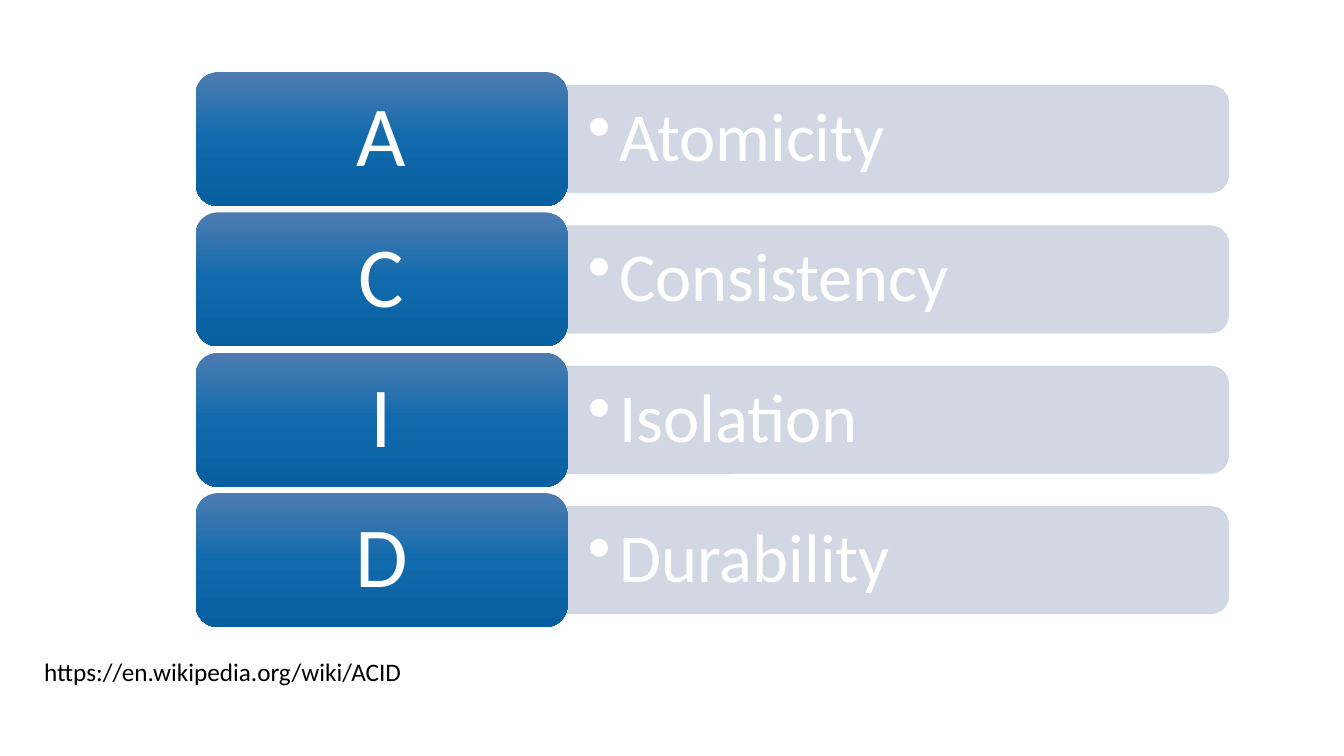
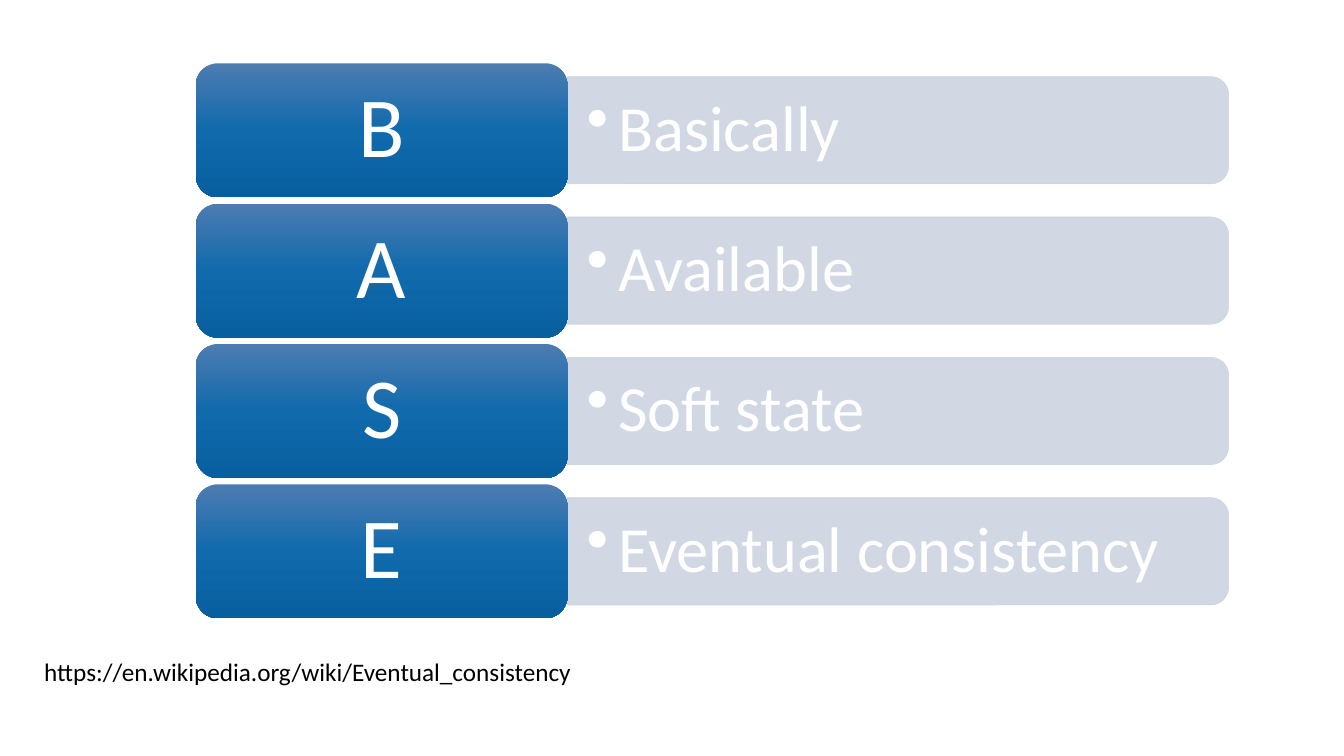
import copy

import pptx
import pptx.dml.color
import pptx.enum.shapes
import pptx.enum.text
import pptx.oxml
import pptx.oxml.ns
import pptx.util

Pt = pptx.util.Pt
SHAPES = pptx.enum.shapes.MSO_SHAPE
ALIGN = pptx.enum.text.PP_ALIGN
ANCHOR = pptx.enum.text.MSO_ANCHOR
qn = pptx.oxml.ns.qn

# Content: first tab's top, term size, side inset, rows, source link
SLIDES = [
    {
        "top": 51.5, "term_size": 49, "inset": 14.4,
        "rows": [("A", "Atomicity"), ("C", "Consistency"),
                 ("I", "Isolation"), ("D", "Durability")],
        "link": "https://en.wikipedia.org/wiki/ACID", "link_width": 273,
    },
    {
        "top": 45.2, "term_size": 46, "inset": 13.7,
        "rows": [("B", "Basically"), ("A", "Available"),
                 ("S", "Soft state"), ("E", "Eventual consistency")],
        "link": "https://en.wikipedia.org/wiki/Eventual_consistency", "link_width": 395,
    },
]

# Shared style, lengths in points
COLORS = {"bar": "CCD4E1", "light": "FFFFFF", "link": "000000"}
TAB_GRADIENT = [(0, "4D7CB1"), (0.5, "106AAC"), (1, "085F9F")]
FONT = "Calibri"
BAR_OPACITY = 90
TAB_LEFT, TAB_WIDTH, TAB_HEIGHT = 139.8, 265.6, 95.75
ROW_PITCH = 100.25
BAR_LEFT, BAR_WIDTH, BAR_HEIGHT = TAB_LEFT + TAB_WIDTH, 472.2, 76.6
TERM_WIDTH, TERM_HEIGHT = 468.5, 69
BULLET_INDENT = 22.5
LETTER_SIZE, LINK_SIZE = 61, 18
LINK_LEFT, LINK_TOP, LINK_HEIGHT = 24.5, 465, 29


def rgb(name):
    return pptx.dml.color.RGBColor.from_string(COLORS.get(name, name))


def write(frame, text, size, color):
    frame.text = text
    para = frame.paragraphs[0]
    font = para.runs[0].font
    font.name, font.size = FONT, Pt(size)
    font.color.rgb = rgb(color)
    return para


def set_insets(frame, side, vertical):
    frame.margin_left = frame.margin_right = Pt(side)
    frame.margin_top = frame.margin_bottom = Pt(vertical)


def add_bullet(para):
    properties = para._p.get_or_add_pPr()
    properties.set("marL", str(Pt(BULLET_INDENT)))
    properties.set("indent", str(-Pt(BULLET_INDENT)))
    bullet = pptx.oxml.parse_xml(
        f'<a:buChar {pptx.oxml.ns.nsdecls("a")} char="•"/>')
    properties.append(bullet)


def add_bar(page, middle):
    """Bar rounded on its right side: a top-rounded shape turned by 90 degrees."""
    center = BAR_LEFT + BAR_WIDTH / 2
    bar = page.shapes.add_shape(
        SHAPES.ROUND_2_SAME_RECTANGLE,
        Pt(center - BAR_HEIGHT / 2), Pt(middle - BAR_WIDTH / 2),
        Pt(BAR_HEIGHT), Pt(BAR_WIDTH))
    bar.rotation = 90
    bar.shadow.inherit = False
    bar.fill.solid()
    bar.fill.fore_color.rgb = rgb("bar")
    bar.line.color.rgb = rgb("bar")
    bar.line.width = Pt(0.5)
    for color in bar._element.spPr.iter(qn("a:srgbClr")):
        alpha = pptx.oxml.parse_xml(
            f'<a:alpha {pptx.oxml.ns.nsdecls("a")} val="{BAR_OPACITY * 1000}"/>')
        color.append(alpha)


def add_term(page, middle, term, size, inset):
    box = page.shapes.add_textbox(
        Pt(BAR_LEFT), Pt(middle - TERM_HEIGHT / 2), Pt(TERM_WIDTH), Pt(TERM_HEIGHT))
    frame = box.text_frame
    frame.word_wrap = True
    frame.vertical_anchor = ANCHOR.MIDDLE
    set_insets(frame, inset, 7.2)
    para = write(frame, term, size, "light")
    para.line_spacing = 0.9
    add_bullet(para)


def add_tab(page, middle, letter):
    tab = page.shapes.add_shape(
        SHAPES.ROUNDED_RECTANGLE,
        Pt(TAB_LEFT), Pt(middle - TAB_HEIGHT / 2), Pt(TAB_WIDTH), Pt(TAB_HEIGHT))
    tab.shadow.inherit = False
    tab.line.fill.background()
    tab.fill.gradient()
    tab.fill.gradient_angle = 270
    stops = tab._element.spPr.find(".//" + qn("a:gsLst"))
    stops.insert(1, copy.deepcopy(stops[0]))
    for stop, (position, color) in zip(tab.fill.gradient_stops, TAB_GRADIENT):
        stop.position = position
        stop.color.rgb = rgb(color)
    frame = tab.text_frame
    frame.word_wrap = True
    frame.vertical_anchor = ANCHOR.MIDDLE
    set_insets(frame, 18, 9)
    para = write(frame, letter, LETTER_SIZE, "light")
    para.alignment = ALIGN.CENTER
    para.line_spacing = 0.9


def add_link(page, link, width):
    box = page.shapes.add_textbox(
        Pt(LINK_LEFT), Pt(LINK_TOP), Pt(width), Pt(LINK_HEIGHT))
    box.text_frame.word_wrap = False
    write(box.text_frame, link, LINK_SIZE, "link")


def main():
    deck = pptx.Presentation()
    deck.slide_width, deck.slide_height = Pt(960), Pt(540)
    for content in SLIDES:
        page = deck.slides.add_slide(deck.slide_layouts[6])
        for row, (letter, term) in enumerate(content["rows"]):
            middle = content["top"] + row * ROW_PITCH + TAB_HEIGHT / 2
            add_bar(page, middle)
            add_term(page, middle, term, content["term_size"], content["inset"])
            add_tab(page, middle, letter)
        add_link(page, content["link"], content["link_width"])
    deck.save("out.pptx")


if __name__ == "__main__":
    main()
